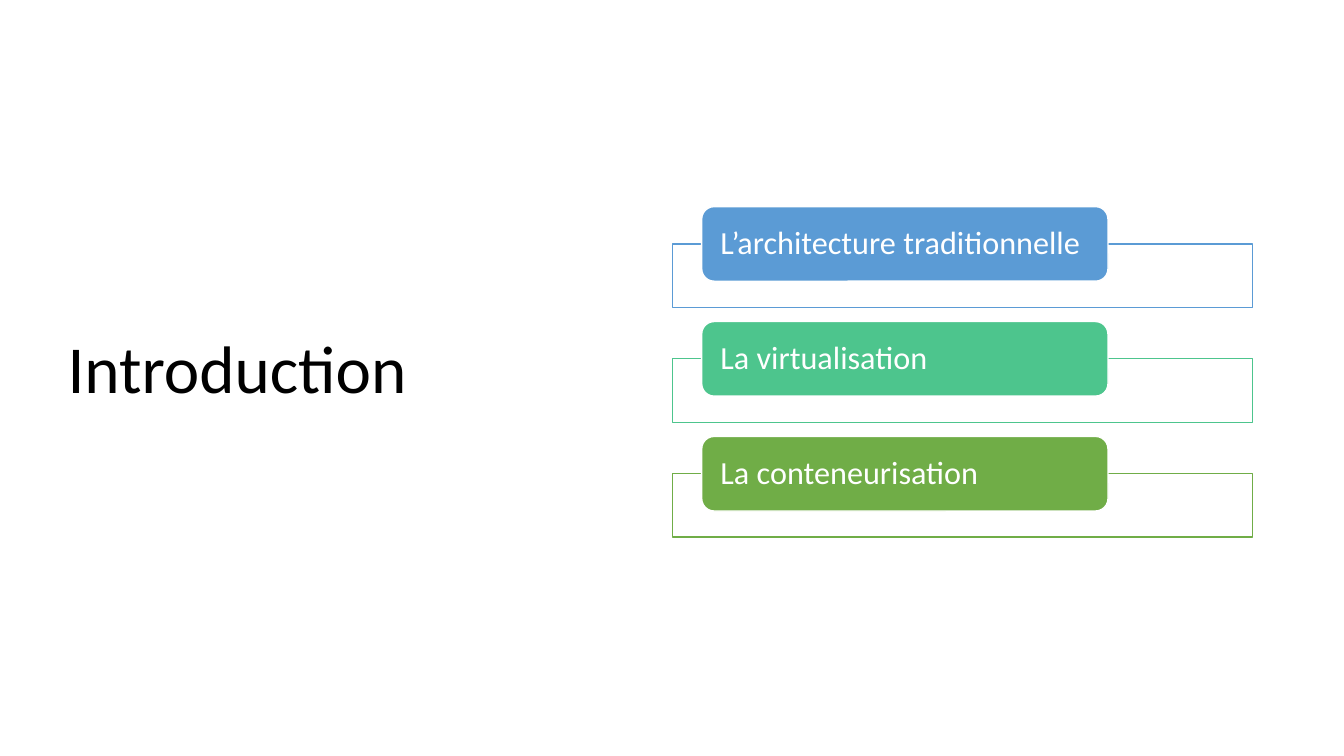
"""Build the introduction slide with its three topic cards."""
from lxml import etree
from pptx import Presentation
from pptx.dml.color import RGBColor
from pptx.enum import shapes, text
from pptx.oxml import ns
from pptx.util import Inches, Pt

TITLE = "Introduction"
TOPICS = [
    ("L’architecture traditionnelle", "5B9BD5"),
    ("La virtualisation", "4DC58D"),
    ("La conteneurisation", "70AD47"),
]
WHITE, BLACK = "FFFFFF", "000000"
TITLE_BOX = (0.57, 0.68, 5.67, 6.02)
FRAME_LEFT, FRAME_TOP, FRAME_WIDTH, FRAME_HEIGHT = 6.67, 2.42, 5.75, 0.63
LABEL_LEFT, LABEL_TOP, LABEL_WIDTH, LABEL_HEIGHT = 6.96, 2.05, 4.03, 0.74
ROW_STEP = 1.14
TITLE_FORMAT = {"vertical_anchor": text.MSO_ANCHOR.MIDDLE, "word_wrap": True,
                "auto_size": text.MSO_AUTO_SIZE.NONE}
LABEL_FORMAT = {**TITLE_FORMAT,
                "margin_left": Inches(0.15), "margin_right": Inches(0.15),
                "margin_top": 0, "margin_bottom": 0}


def color(value):
    return RGBColor.from_string(value)


def apply(target, values):
    for name, value in values.items():
        setattr(target, name, value)


def write(shape, words, size, font_color, frame_format):
    frame = shape.text_frame
    apply(frame, frame_format)
    paragraph = frame.paragraphs[0]
    apply(paragraph, {"alignment": text.PP_ALIGN.LEFT, "line_spacing": 0.9})
    run = paragraph.add_run()
    run.text = words
    apply(run.font, {"name": "Calibri", "size": Pt(size)})
    run.font.color.rgb = color(font_color)


def add_box(group, kind, box, fill, line):
    shape = group.shapes.add_shape(kind, *map(Inches, box))
    shape.shadow.inherit = False
    shape.fill.solid()
    shape.fill.fore_color.rgb = color(fill)
    shape.line.color.rgb = color(line)
    shape.line.width = Pt(1)
    return shape


def add_topic(group, row, words, accent):
    offset = row * ROW_STEP
    frame = add_box(group, shapes.MSO_SHAPE.RECTANGLE,
                    (FRAME_LEFT, FRAME_TOP + offset, FRAME_WIDTH, FRAME_HEIGHT),
                    WHITE, accent)
    frame_color = frame.fill._xPr.find(ns.qn("a:solidFill"))[0]
    etree.SubElement(frame_color, ns.qn("a:alpha"), val="90000")
    label = add_box(group, shapes.MSO_SHAPE.ROUNDED_RECTANGLE,
                    (LABEL_LEFT, LABEL_TOP + offset, LABEL_WIDTH, LABEL_HEIGHT),
                    accent, WHITE)
    write(label, words, 23, WHITE, LABEL_FORMAT)


def main():
    presentation = Presentation()
    apply(presentation, {"slide_width": Inches(13.33), "slide_height": Inches(7.5)})
    slide = presentation.slides.add_slide(presentation.slide_layouts[5])
    title = slide.shapes.title
    apply(title, dict(zip(("left", "top", "width", "height"), map(Inches, TITLE_BOX))))
    write(title, TITLE, 48, BLACK, TITLE_FORMAT)
    group = slide.shapes.add_group_shape()
    for row, (words, accent) in enumerate(TOPICS):
        add_topic(group, row, words, accent)
    presentation.save("out.pptx")


if __name__ == "__main__":
    main()
